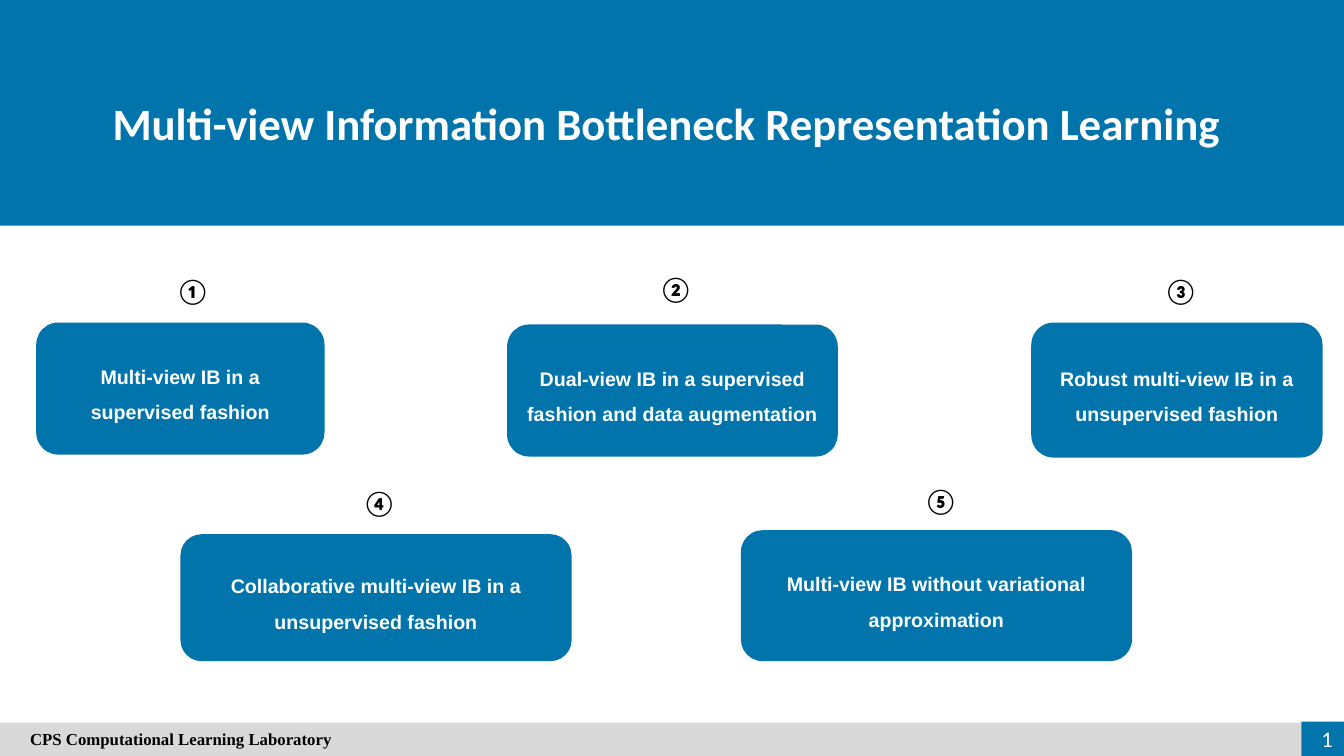
from pptx import Presentation
from pptx.dml.color import RGBColor
from pptx.enum import shapes, text
from pptx.util import Pt

# Content
TITLE = "Multi-view Information Bottleneck Representation Learning "
FOOTER = "CPS Computational Learning Laboratory"
PAGE = "1"
# number, wording, card (left, top, width, height), number (left, top)
CARDS = [
    ("①", "Multi-view IB in a supervised fashion",
     (25.9, 230.4, 205.9, 94.3), (118.8, 193)),
    ("②", "Dual-view IB in a supervised fashion and data augmentation",
     (362.2, 231.8, 236.2, 94.3), (463.7, 191.5)),
    ("③", "Robust multi-view IB in a unsupervised fashion",
     (736.6, 230.4, 208.1, 96.5), (824.4, 193)),
    ("④", "Collaborative multi-view IB in a unsupervised fashion",
     (128.9, 381.6, 279.4, 90.7), (252, 344.9)),
    ("⑤", "Multi-view IB without variational approximation",
     (529.2, 378.7, 279.4, 93.6), (653, 343.4)),
]
COLORS = {"blue": "0174AB", "grey": "D9D9D9", "white": "FFFFFF", "black": "000000"}

# Layout
WIDTH, HEIGHT = 960, 540
BANNER_HEIGHT = 161.3
FOOTER_TOP = 516.2
PAGE_LEFT = 929.5
NUMBER_SIZE = (32.4, 28.8)

CENTER, LEFT, RIGHT = (text.PP_ALIGN.CENTER, text.PP_ALIGN.LEFT, text.PP_ALIGN.RIGHT)
TOP, MIDDLE = text.MSO_ANCHOR.TOP, text.MSO_ANCHOR.MIDDLE

presentation = Presentation()
presentation.slide_width, presentation.slide_height = Pt(WIDTH), Pt(HEIGHT)
slide = presentation.slides.add_slide(presentation.slide_layouts[5])


def color(name):
    return RGBColor.from_string(COLORS[name])


def add_block(kind, box, fill):
    shape = slide.shapes.add_shape(kind, *map(Pt, box))
    shape.shadow.inherit = False
    shape.fill.solid()
    shape.fill.fore_color.rgb = color(fill)
    shape.line.fill.background()
    return shape


def write(shape, words, size, font, ink, align, anchor=MIDDLE, spacing=1.0,
          bold=True, wrap=True):
    frame = shape.text_frame
    frame.text = words
    frame.word_wrap = wrap
    frame.auto_size = text.MSO_AUTO_SIZE.NONE
    frame.vertical_anchor = anchor
    paragraph = frame.paragraphs[0]
    paragraph.alignment = align
    paragraph.line_spacing = spacing
    run_font = paragraph.runs[0].font
    run_font.name, run_font.size, run_font.bold = font, Pt(size), bold
    run_font.color.rgb = color(ink)


# Banner, with the title brought in front of it
RECTANGLE = shapes.MSO_SHAPE.RECTANGLE
add_block(RECTANGLE, (0, 0, WIDTH, BANNER_HEIGHT), "blue")
title = slide.shapes.title
title.left, title.top, title.width, title.height = map(Pt, (39.6, 45.4, 880.6, 59.8))
write(title, TITLE, 32, "Calibri", "white", CENTER, TOP, 1.5)
title._element.getparent().append(title._element)

# Footer and page number
footer_height = HEIGHT - FOOTER_TOP
footer = add_block(RECTANGLE, (0, FOOTER_TOP, PAGE_LEFT, footer_height), "grey")
write(footer, FOOTER, 12, "Times New Roman", "black", LEFT)
footer.text_frame.margin_left = Pt(21.5)
add_block(RECTANGLE, (PAGE_LEFT, FOOTER_TOP - 0.7, WIDTH - PAGE_LEFT, footer_height + 0.7), "blue")
page = slide.shapes.add_textbox(*map(Pt, (913.7, 513.4, 45.4, 28.8)))
write(page, PAGE, 16, "Calibri", "white", RIGHT, bold=False)

# Numbered cards
for number, words, box, number_place in CARDS:
    card = add_block(shapes.MSO_SHAPE.ROUNDED_RECTANGLE, box, "blue")
    write(card, words, 14, "Arial", "white", CENTER, spacing=1.5)
    label = slide.shapes.add_textbox(*map(Pt, number_place + NUMBER_SIZE))
    write(label, number, 18, "Calibri", "black", LEFT, TOP, wrap=False)

presentation.save("out.pptx")
